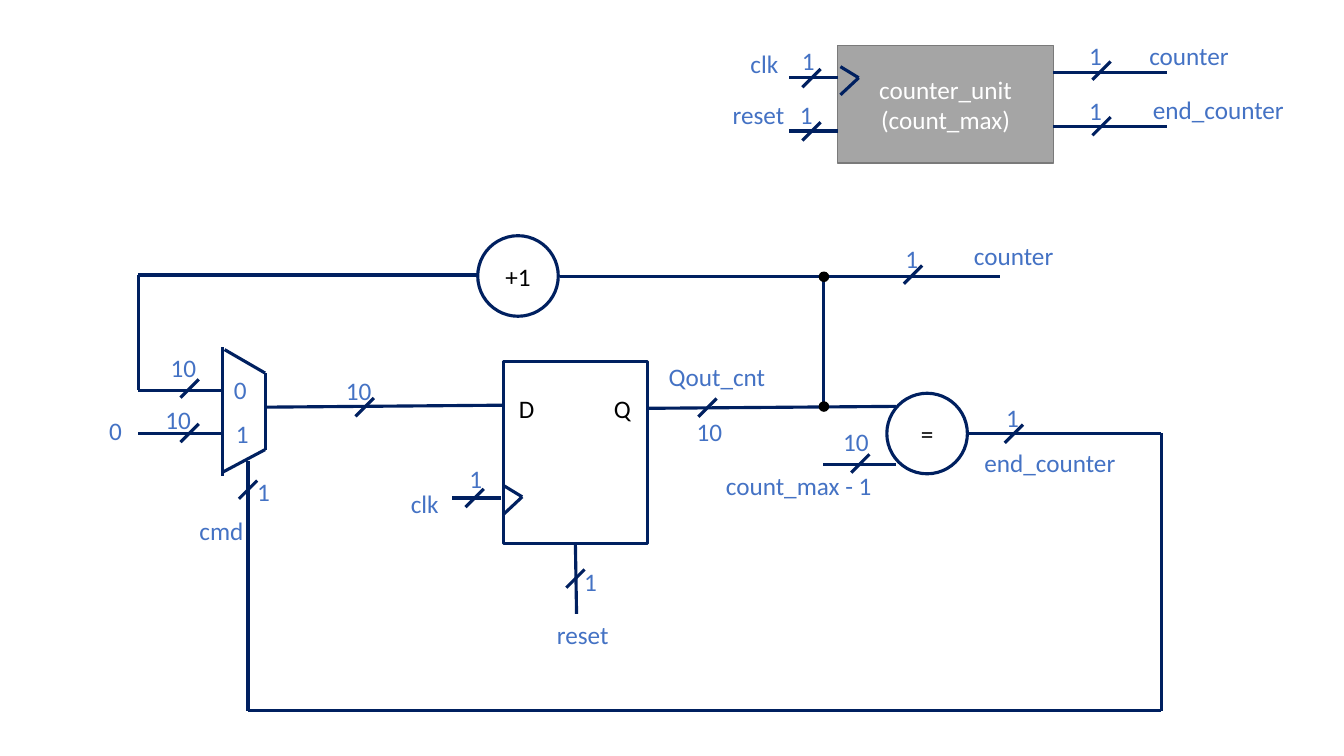
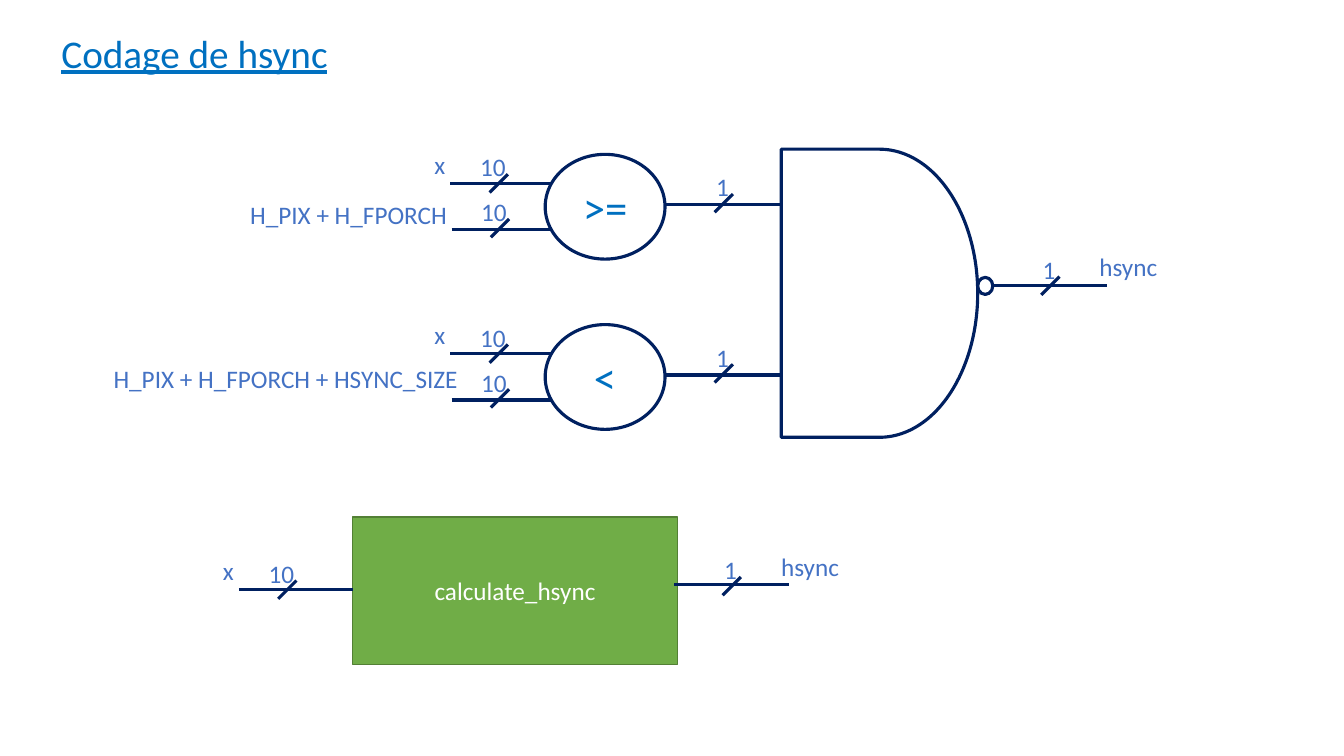
import pptx
import pptx.dml.color
import pptx.enum.shapes
import pptx.enum.text
import pptx.oxml.ns
import pptx.util
import lxml.etree

Cm = pptx.util.Cm
Pt = pptx.util.Pt
Preset = pptx.enum.shapes.MSO_SHAPE
Align = pptx.enum.text.PP_ALIGN
Anchor = pptx.enum.text.MSO_ANCHOR
qn = pptx.oxml.ns.qn


def color(value):
    return pptx.dml.color.RGBColor.from_string(value)


class Schematic:
    FONT = "Calibri"
    NAVY = "002060"
    LABEL = "4472C4"
    ACCENT = "0070C0"
    WHITE = "FFFFFF"
    BLACK = "000000"
    SIZE = 18
    STROKE = 2.25
    TAP = 0.46
    LABEL_HEIGHT = 1.03

    def __init__(self):
        self.deck = pptx.Presentation()
        self.deck.slide_width = Cm(33.87)
        self.deck.slide_height = Cm(19.05)
        self.slide = None

    def new_slide(self):
        self.slide = self.deck.slides.add_slide(self.deck.slide_layouts[6])

    def add_text(self, paragraph, text, size, ink, align, underline=None):
        paragraph.alignment = align
        run = paragraph.add_run()
        run.text = text
        run.font.name = self.FONT
        run.font.size = Pt(size)
        run.font.color.rgb = color(ink)
        run.font.underline = underline

    def title(self, text):
        box = self.slide.shapes.add_textbox(Cm(1.3), Cm(0.61), Cm(7.29), Cm(1.45))
        box.text_frame.word_wrap = False
        self.add_text(box.text_frame.paragraphs[0], text, 28, self.ACCENT, Align.LEFT, True)

    def label(self, text, left, top, width):
        box = self.slide.shapes.add_textbox(Cm(left), Cm(top), Cm(width), Cm(self.LABEL_HEIGHT))
        box.text_frame.word_wrap = True
        self.add_text(box.text_frame.paragraphs[0], text, self.SIZE, self.LABEL, Align.CENTER)

    def wire(self, *points):
        for (x1, y1), (x2, y2) in zip(points, points[1:]):
            segment = self.slide.shapes.add_connector(
                pptx.enum.shapes.MSO_CONNECTOR.STRAIGHT, Cm(x1), Cm(y1), Cm(x2), Cm(y2))
            segment.line.color.rgb = color(self.NAVY)
            segment.line.width = Pt(self.STROKE)
            properties = segment._element.find(qn("p:spPr"))
            lxml.etree.SubElement(properties, qn("a:effectLst"))

    def tap(self, x, y, bits, dx=None, dy=-0.92, width=1.22):
        half = self.TAP / 2
        self.wire((x - half, y + half), (x + half, y - half))
        if dx is None:
            dx = -0.64 if bits == "1" else -0.76
        self.label(bits, x + dx, y + dy, width)

    def clock_notch(self, x, y):
        self.wire((x, y), (x + 0.46, y + 0.28), (x, y + 0.71))

    def block(self, preset, left, top, width, height, lines=(), fill=WHITE,
              outline=NAVY, stroke=STROKE, ink=BLACK, size=SIZE):
        shape = self.slide.shapes.add_shape(preset, Cm(left), Cm(top), Cm(width), Cm(height))
        shape.shadow.inherit = False
        shape.fill.solid()
        shape.fill.fore_color.rgb = color(fill)
        shape.line.color.rgb = color(outline)
        shape.line.width = Pt(stroke)
        frame = shape.text_frame
        frame.vertical_anchor = Anchor.MIDDLE
        for index, text in enumerate(lines):
            paragraph = frame.add_paragraph() if index else frame.paragraphs[0]
            self.add_text(paragraph, text, size, ink, Align.CENTER)
        return shape

    def circle(self, left, top, symbol):
        self.block(Preset.OVAL, left, top, 2.03, 2.03, [symbol])

    def junction(self, left, top):
        self.block(Preset.OVAL, left, top, 0.23, 0.23, fill=self.BLACK,
                   outline=self.BLACK, stroke=1)

    def flip_flop(self, left, top, width, height):
        frame = self.block(Preset.RECTANGLE, left, top, width, height).text_frame
        frame.vertical_anchor = Anchor.TOP
        frame.margin_top = Cm(0.8)
        frame.margin_left = Cm(0.38)
        pins = frame.paragraphs[0]
        stops = lxml.etree.SubElement(pins._p.get_or_add_pPr(), qn("a:tabLst"))
        lxml.etree.SubElement(stops, qn("a:tab"), pos=str(Cm(2.39)), algn="l")
        self.add_text(pins, "D\tQ", self.SIZE, self.BLACK, Align.LEFT)


def draw_counter(art):
    art.new_slide()
    art.flip_flop(12.7, 9.12, 3.63, 4.57)
    art.clock_notch(12.7, 12.24)
    art.block(Preset.RECTANGLE, 21.11, 1.14, 5.44, 2.97, ["counter_unit", "(count_max)"],
              fill="A5A5A5", outline="7A7A7A", stroke=1, ink=art.WHITE)
    art.clock_notch(21.18, 1.68)

    for points in (
        [(12.01, 6.93), (3.48, 6.93), (3.48, 9.83), (5.64, 9.83)],
        [(3.48, 10.92), (5.61, 10.92)],
        [(5.61, 11.99), (5.61, 8.74)],
        [(5.66, 8.81), (6.68, 9.4), (6.68, 11.33), (5.59, 11.91)],
        [(6.68, 10.26), (12.67, 10.21)],
        [(11.4, 12.55), (12.62, 12.55)],
        [(14.53, 15.47), (14.5, 13.69)],
        [(14.1, 6.96), (25.2, 6.96)],
        [(16.33, 10.29), (22.58, 10.24)],
        [(20.75, 10.21), (20.75, 6.93)],
        [(20.75, 11.71), (22.58, 11.71)],
        [(24.26, 10.92), (29.26, 10.92), (29.26, 17.91), (6.25, 17.91), (6.25, 11.61)],
        [(19.89, 1.96), (21.11, 1.96)],
        [(19.89, 3.3), (21.11, 3.3)],
        [(26.54, 1.83), (29.41, 1.83)],
        [(26.54, 3.18), (29.41, 3.18)],
    ):
        art.wire(*points)

    art.circle(12.04, 5.94, "+1")
    art.circle(22.35, 9.91, "=")
    for top in (6.86, 10.13):
        art.junction(20.65, top)

    for tap in (
        (4.78, 9.79, "10", -0.91, -1.03, 1.5),
        (4.78, 10.91, "10", -1.04, -0.85, 1.5),
        (6.25, 12.34, "1", -0.36, -0.46, 1.5),
        (9.19, 10.26, "10"),
        (11.96, 12.55, "1", -0.58, -0.99),
        (14.5, 14.58, "1", -0.23, -0.43),
        (17.83, 10.27, "10", -0.56, 0.09),
        (21.68, 11.68, "10", -0.72, -1.07),
        (23.01, 6.92, "1"),
        (25.55, 10.93, "1"),
        (20.45, 1.97, "1", -0.69, -0.95),
        (20.45, 3.31, "1", -0.74, -0.93),
        (27.76, 1.78, "1", -0.76, -0.89),
        (27.76, 3.18, "1", -0.76, -0.91),
    ):
        art.tap(*tap)

    for label in (
        ("0", 2.16, 10.34, 1.5),
        ("0", 5, 9.32, 2.11),
        ("1", 5.05, 10.41, 2.11),
        ("cmd", 3.28, 12.85, 4.6),
        ("clk", 9.65, 12.17, 2.11),
        ("reset", 12.17, 15.47, 5.03),
        ("Qout_cnt", 15.77, 8.99, 4.6),
        ("count_max - 1", 17.83, 11.73, 4.6),
        ("counter", 23.93, 5.92, 3.23),
        ("end_counter", 24.16, 11.15, 4.6),
        ("clk", 18.21, 1.09, 2.11),
        ("reset", 18.06, 2.39, 2.11),
        ("counter", 28.35, 0.89, 3.23),
        ("end_counter", 28.37, 2.26, 4.67),
    ):
        art.label(*label)


def draw_hsync(art):
    art.new_slide()
    art.title("Codage de hsync")

    comparators = (
        (">=", "H_PIX + H_FPORCH", 5.66, 4.9, 6.25),
        ("<", "H_PIX + H_FPORCH + HSYNC_SIZE", 2.36, 9.04, 9.68),
    )
    for row, (symbol, threshold, left, top, width) in enumerate(comparators):
        shift = row * 4.29
        for x1, x2, y in ((11.35, 14.22, 4.62), (11.38, 14.25, 5.79), (16.79, 19.66, 5.16)):
            art.wire((x1, y + shift), (x2, y + shift))
        for x, y, bits in ((12.57, 4.62, "10"), (12.6, 5.75, "10"), (18.24, 5.12, "1")):
            art.tap(x, y + shift, bits)
        art.label("x", 10.41, 3.63 + shift, 1.35)
        art.label(threshold, left, top, width)
        art.block(Preset.OVAL, 13.74, 3.89 + shift, 3.02, 2.64, [symbol],
                  ink=art.ACCENT, size=32)

    art.block(Preset.FLOWCHART_DELAY, 19.69, 3.76, 4.95, 7.26)
    art.block(Preset.OVAL, 24.64, 6.99, 0.38, 0.43)
    art.wire((25.02, 7.19), (27.89, 7.19))
    art.tap(26.47, 7.2, "1")
    art.label("hsync", 26.49, 6.2, 3.89)

    art.block(Preset.RECTANGLE, 8.89, 13.03, 8.18, 3.71, ["calculate_hsync"],
              fill="70AD47", outline="538035", stroke=1, ink=art.WHITE)
    art.wire((6.02, 14.86), (8.89, 14.86))
    art.tap(7.24, 14.86, "10")
    art.label("x", 5.08, 13.87, 1.35)
    art.wire((16.99, 14.73), (19.89, 14.73))
    art.tap(18.44, 14.77, "1")
    art.label("hsync", 18.47, 13.77, 3.89)


def main():
    art = Schematic()
    draw_counter(art)
    draw_hsync(art)
    art.deck.save("out.pptx")


if __name__ == "__main__":
    main()
